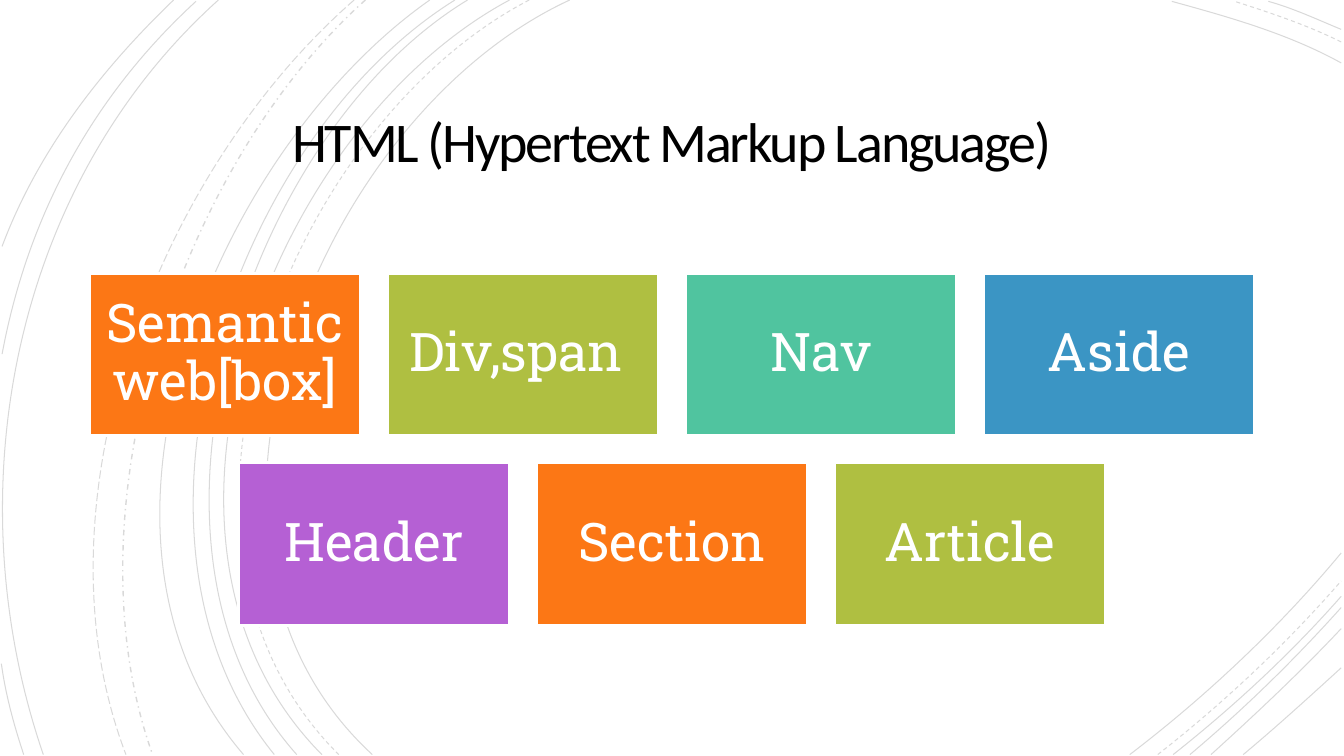
from dataclasses import dataclass

from lxml import etree
from pptx import Presentation
from pptx.dml.color import RGBColor
from pptx.enum import dml, shapes, text
from pptx.oxml import ns
from pptx.util import Pt


@dataclass(frozen=True)
class Theme:
    """Colours, fonts and type sizes of the slide."""
    ink: str = "000000"
    paper: str = "FFFFFF"
    orange: str = "FC7715"
    lime: str = "AFBF41"
    mint: str = "50C49F"
    blue: str = "3B95C4"
    violet: str = "B560D4"
    head: str = "Calibri"
    body: str = "Roboto Slab"
    big: int = 40
    mid: int = 38
    alpha: str = "15000"


LOOK = Theme()
WIDE, HIGH = 960, 540
TILE_W, TILE_H, GAP, TOP = 193.5, 116, 19.4, 195.2

ROWS = [
    [("Semantic web[box]", LOOK.orange), ("Div,span ", LOOK.lime),
     ("Nav", LOOK.mint), ("Aside", LOOK.blue)],
    [("Header", LOOK.violet), ("Section", LOOK.orange), ("Article", LOOK.lime)],
]

DASH = dml.MSO_LINE
ARCS = {
    (DASH.SOLID, 0.75): [
        [(407, 0), (227, 83), (103, 389), (266, 539)],
        [(958, 45), (920, 24), (877, 12), (837, 1)],
        [(807, 539), (862, 497), (914, 448), (958, 395)],
        [(364, 0), (194, 91), (79, 387), (230, 539)],
        [(958, 21), (941, 14), (924, 6), (906, 1)],
        [(838, 539), (881, 505), (922, 467), (958, 426)],
        [(334, 0), (176, 96), (79, 390), (212, 539)],
        [(850, 539), (888, 507), (924, 472), (958, 434)],
        [(325, 0), (166, 99), (70, 384), (196, 539)],
        [(865, 539), (897, 510), (929, 480), (958, 449)],
        [(307, 0), (156, 106), (38, 381), (174, 539)],
        [(888, 539), (912, 519), (935, 498), (958, 477)],
        [(156, 0), (8, 133), (-33, 353), (31, 539)],
        [(140, 1), (66, 69), (20, 154), (1.5, 253)],
        [(1, 474), (4, 496), (10, 518), (17, 539)],
        [(124, 0), (72, 50), (27, 108), (1.5, 176)],
    ],
    (DASH.DASH, 0.75): [
        [(378, 0), (205, 90), (89, 387), (242, 539)],
        [(958, 30), (934, 18), (907, 9), (882, 1)],
        [(827, 539), (873, 503), (918, 461), (958, 415)],
    ],
    (DASH.DASH_DOT, 1): [[(261, 0), (127, 120), (47, 366), (109, 539)]],
    (DASH.LONG_DASH, 0.75): [[(253, 0), (113, 122), (21, 359), (90, 539)]],
}


def apply(obj, form):
    """Set every attribute named in a dict of format values."""
    for name, value in form.items():
        setattr(obj, name, value)


def paint(fill, tone):
    """Give a fill one solid colour."""
    fill.solid()
    fill.fore_color.rgb = RGBColor.from_string(tone)


def bend(shape):
    """Turn the three segments of an outline into one cubic curve."""
    track = shape.element.xpath(".//a:path")[0]
    legs = shape.element.xpath(".//a:lnTo")
    curve = etree.SubElement(track, ns.qn("a:cubicBezTo"))
    for leg in legs:
        curve.append(leg[0])
        track.remove(leg)


def add_arc(slide, ends, dash, width):
    """Draw one faint open arc."""
    start, *rest = [(Pt(x), Pt(y)) for x, y in ends]
    pen = slide.shapes.build_freeform(*start)
    pen.add_line_segments(rest, close=False)
    arc = pen.convert_to_shape()
    bend(arc)
    arc.shadow.inherit = False
    arc.fill.background()
    paint(arc.line.fill, LOOK.ink)
    apply(arc.line, {"width": Pt(width), "dash_style": dash})
    tone = arc.element.xpath("./p:spPr/a:ln//a:srgbClr")[0]
    etree.SubElement(tone, ns.qn("a:alpha"), val=LOOK.alpha)


def write(shape, words, inset, space, font, size, tone):
    """Put centred text into a shape."""
    frame = shape.text_frame
    frame.text = words
    apply(frame, {"word_wrap": True, "auto_size": text.MSO_AUTO_SIZE.NONE,
                  "vertical_anchor": text.MSO_ANCHOR.MIDDLE})
    apply(frame, {f"margin_{side}": Pt(inset)
                  for side in ("left", "top", "right", "bottom")})
    para = frame.paragraphs[0]
    apply(para, {"alignment": text.PP_ALIGN.CENTER, "line_spacing": space})
    run = para.runs[0]
    apply(run.font, {"name": font, "size": Pt(size)})
    run.font.color.rgb = RGBColor.from_string(tone)


def add_title(slide, words):
    """Place the title above the arcs."""
    title = slide.shapes.title
    apply(title, {"left": Pt(138), "top": Pt(62.6),
                  "width": Pt(683.5), "height": Pt(83)})
    write(title, words, 18, 0.85, LOOK.head, LOOK.big, LOOK.ink)
    title.element.xpath(".//a:rPr")[0].set("spc", "-150")
    title.element.getparent().append(title.element)


def add_tile(slide, left, top, words, tone):
    """Draw one coloured tile with its label."""
    tile = slide.shapes.add_shape(shapes.MSO_SHAPE.RECTANGLE, Pt(left),
                                  Pt(top), Pt(TILE_W), Pt(TILE_H))
    tile.shadow.inherit = False
    paint(tile.fill, tone)
    paint(tile.line.fill, LOOK.paper)
    tile.line.width = Pt(2)
    write(tile, words, 11.5, 0.9, LOOK.body, LOOK.mid, LOOK.paper)


def add_row(slide, top, tiles):
    """Lay out a centred row of tiles."""
    pitch = TILE_W + GAP
    left = (WIDE - len(tiles) * pitch + GAP) / 2
    for spot, (words, tone) in enumerate(tiles):
        add_tile(slide, left + spot * pitch, top, words, tone)


def main():
    """Build and save the slide."""
    deck = Presentation()
    apply(deck, {"slide_width": Pt(WIDE), "slide_height": Pt(HIGH)})
    slide = deck.slides.add_slide(deck.slide_layouts[5])
    paint(slide.background.fill, LOOK.paper)
    for (dash, width), arcs in ARCS.items():
        for ends in arcs:
            add_arc(slide, ends, dash, width)
    add_title(slide, "HTML (Hypertext Markup Language)")
    for rank, tiles in enumerate(ROWS):
        add_row(slide, TOP + rank * (TILE_H + GAP), tiles)
    deck.save("out.pptx")


if __name__ == "__main__":
    main()
